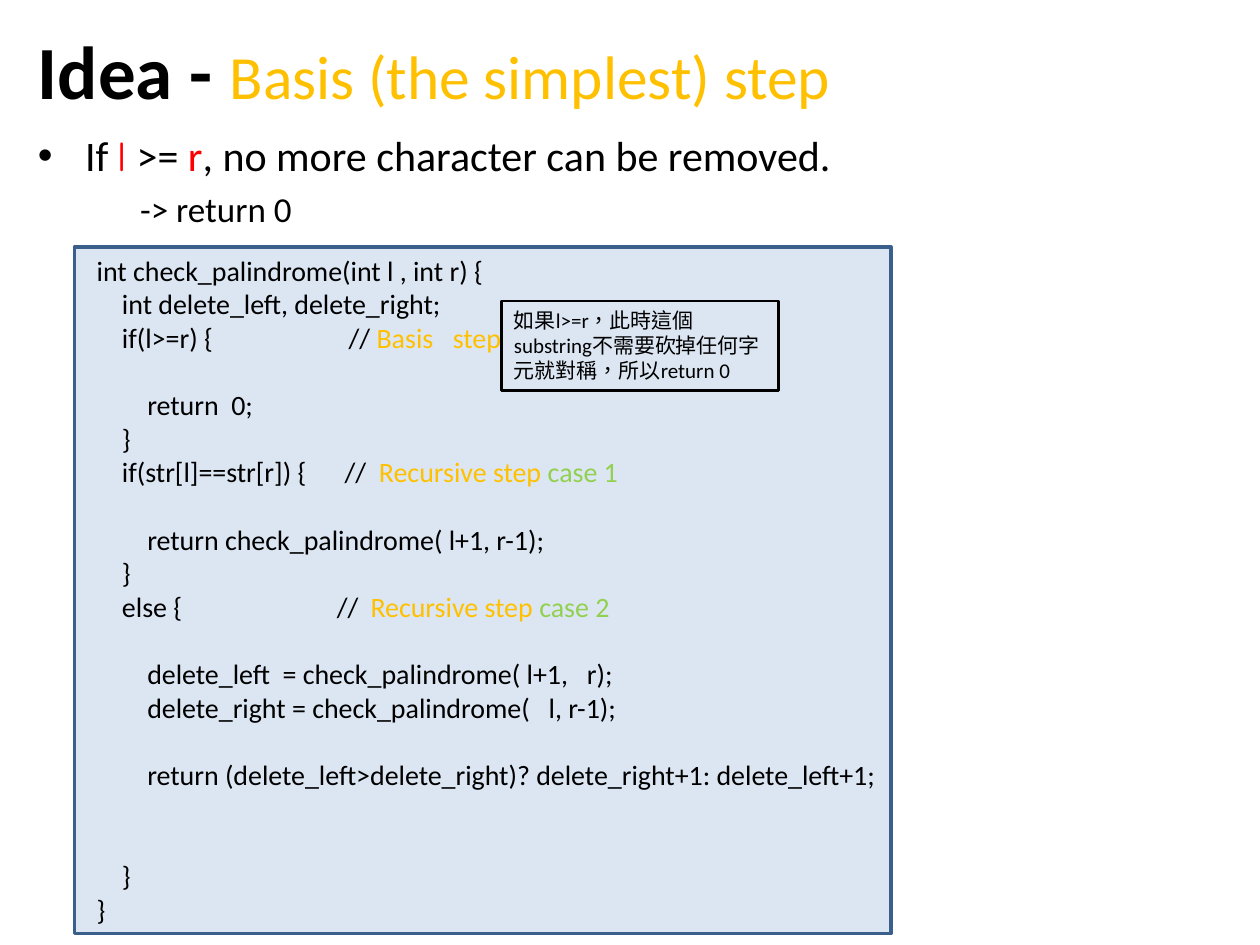
import pptx
import pptx.util
import pptx.dml.color
import pptx.enum.shapes
import pptx.enum.text
import pptx.oxml.ns
import lxml.etree

Cm, Pt = pptx.util.Cm, pptx.util.Pt
RGB = pptx.dml.color.RGBColor.from_string
qn = pptx.oxml.ns.qn
ANCHOR = pptx.enum.text.MSO_ANCHOR

THEME = {
    "font": "Calibri", "variable_font": "Comic Neue", "cjk_font": "Noto Sans CJK SC",
    "ink": "000000", "step": "FFC000", "case": "92D050", "variable": "FF0000",
    "panel": "DCE6F2", "panel_line": "3A5F8C",
    "title": 42.9, "subtitle": 35.1, "bullet": 24, "result": 20, "code": 16, "callout": 12,
}


def add_text(p, text, size, color="ink", font="font", bold=False):
    r = p.add_run()
    r.text = text
    r.font.size = Pt(THEME[size])
    r.font.name = THEME[font]
    r.font.bold = bold
    r.font.color.rgb = RGB(THEME[color])
    return r


def place(sp, left, top, width, height, anchor=ANCHOR.TOP):
    sp.left, sp.top, sp.width, sp.height = Cm(left), Cm(top), Cm(width), Cm(height)
    tf = sp.text_frame
    tf.word_wrap = True
    tf.auto_size = pptx.enum.text.MSO_AUTO_SIZE.NONE
    tf.vertical_anchor = anchor
    tf.paragraphs[0].alignment = pptx.enum.text.PP_ALIGN.LEFT
    return tf


prs = pptx.Presentation()
prs.slide_width, prs.slide_height = Cm(25.4), Cm(19.05)
s = prs.slides.add_slide(prs.slide_layouts[1])

# Title
p = place(s.shapes.title, 0.51, 0.41, 20.35, 2, ANCHOR.MIDDLE).paragraphs[0]
add_text(p, "Idea - ", "title", bold=True)
add_text(p, "Basis (the simplest) step", "subtitle", "step")

# Stopping rule and its result
tf = place(s.placeholders[1], 0.51, 2.49, 22.86, 3.63)
p = tf.paragraphs[0]
p.space_before = Pt(4.8)
pPr = p._p.get_or_add_pPr()
pPr.set("marL", str(Cm(0.95)))
pPr.set("indent", str(Cm(-0.95)))
add_text(p, "If ", "bullet")
add_text(p, "l", "bullet", "variable", "variable_font")
add_text(p, " >= ", "bullet")
add_text(p, "r", "bullet", "variable")
add_text(p, ", no more character can be removed.", "bullet")

p = tf.add_paragraph()
p.level = 1
p.space_before = Pt(4)
pPr = p._p.get_or_add_pPr()
pPr.set("marL", str(Cm(2.06)))
pPr.set("indent", "0")
lxml.etree.SubElement(pPr, qn("a:buNone"))
add_text(p, "-> return 0", "result")

# Code panel
group = s.shapes.add_group_shape()
RECTANGLE = pptx.enum.shapes.MSO_SHAPE.RECTANGLE
panel = group.shapes.add_shape(RECTANGLE, Cm(1.5), Cm(4.98), Cm(16.46), Cm(13.84))
panel.shadow.inherit = False
panel.fill.solid()
panel.fill.fore_color.rgb = RGB(THEME["panel"])
panel.line.color.rgb = RGB(THEME["panel_line"])
panel.line.width = Pt(2)

# Code lines: level, empty lines above, coloured pieces, tab stops of the comment
INDENT, LINE_HEIGHT = 0.51, 19.3
code_lines = [
    (0, 0, [("int check_palindrome(int l , int r) {", "ink")], []),
    (1, 0, [("int delete_left, delete_right;", "ink")], []),
    (1, 0, [("if(l>=r) {\t// ", "ink"), ("Basis\tstep", "step")], [5.08, 7.18]),
    (2, 1, [("return  0;", "ink")], []),
    (1, 0, [("}", "ink")], []),
    (1, 0, [("if(str[l]==str[r]) {\t//\t", "ink"), ("Recursive step ", "step"),
            ("case 1", "case")], [5, 5.69]),
    (2, 1, [("return check_palindrome( l+1, r-1);", "ink")], []),
    (1, 0, [("}", "ink")], []),
    (1, 0, [("else {\t//\t", "ink"), ("Recursive step ", "step"),
            ("case 2", "case")], [4.84, 5.52]),
    (2, 1, [("delete_left  = check_palindrome( l+1,   r);", "ink")], []),
    (2, 0, [("delete_right = check_palindrome(   l, r-1);", "ink")], []),
    (2, 1, [("return (delete_left>delete_right)? delete_right+1: delete_left+1;", "ink")], []),
    (1, 2, [("}", "ink")], []),
    (0, 0, [("}", "ink")], []),
]
code = group.shapes.add_textbox(0, 0, 0, 0)
tf = place(code, 1.7, 4.98, 16.46, 14.02)
for i, (level, gap, pieces, stops) in enumerate(code_lines):
    p = tf.add_paragraph() if i else tf.paragraphs[0]
    p.space_before = Pt(gap * LINE_HEIGHT)
    tabs = lxml.etree.SubElement(p._p.get_or_add_pPr(), qn("a:tabLst"))
    for stop in [INDENT * (n + 1) for n in range(level)] + stops:
        lxml.etree.SubElement(tabs, qn("a:tab"), pos=str(Cm(stop)), algn="l")
    if level:
        add_text(p, "\t" * level, "code")
    for text, color in pieces:
        add_text(p, text, "code", color)

# Callout beside the basis step
callout = group.shapes.add_shape(RECTANGLE, 0, 0, 0, 0)
callout.shadow.inherit = False
callout.fill.background()
callout.line.color.rgb = RGB(THEME["ink"])
callout.line.width = Pt(1.5)
p = place(callout, 10.11, 6.07, 5.59, 1.8).paragraphs[0]
r = add_text(p, "如果l>=r，此時這個substring不需要砍掉任何字元就對稱，所以return 0", "callout")
rPr = r._r.get_or_add_rPr()
rPr.set("lang", "zh-TW")
rPr.find(qn("a:latin")).addnext(
    lxml.etree.Element(qn("a:ea"), typeface=THEME["cjk_font"]))

prs.save("out.pptx")
